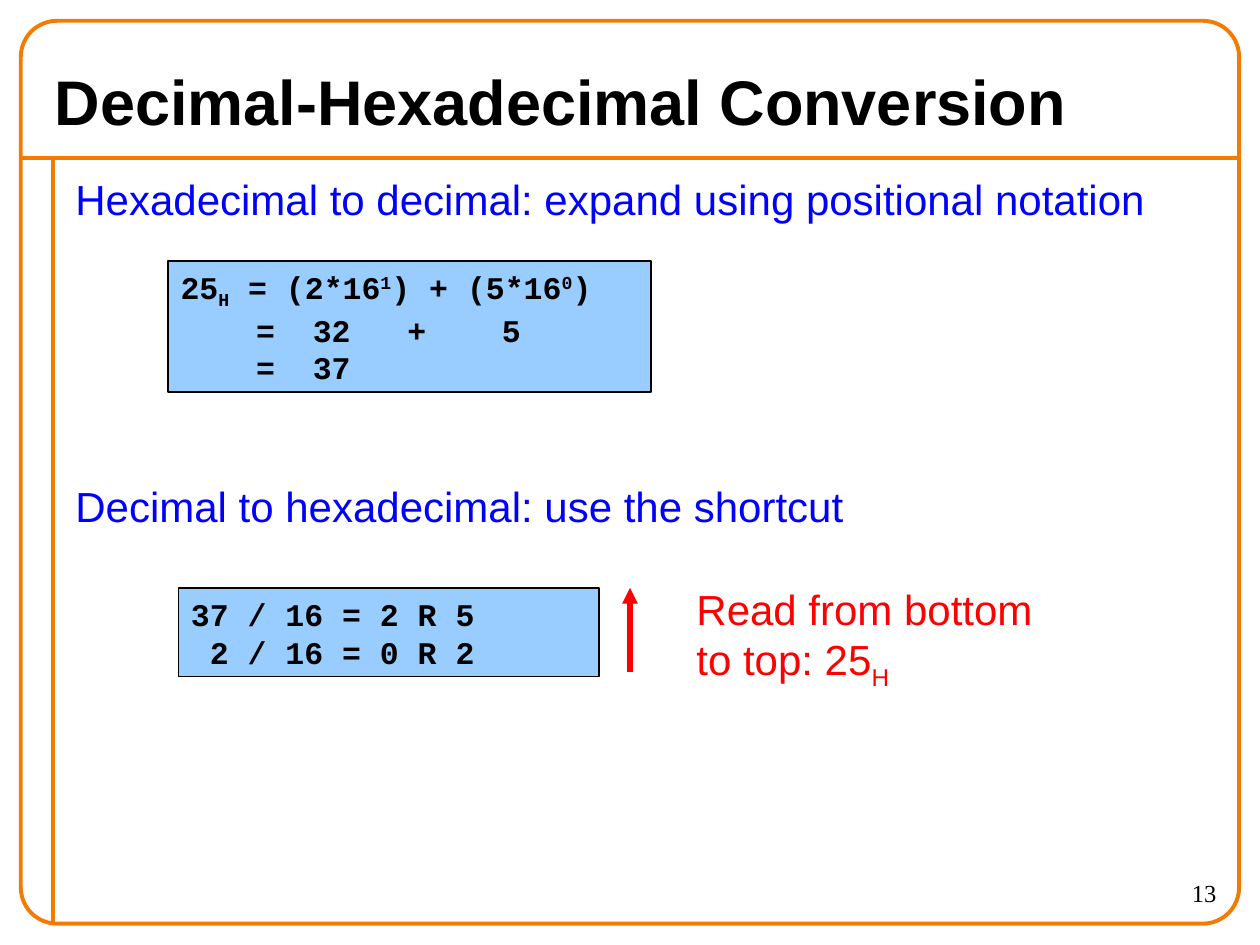
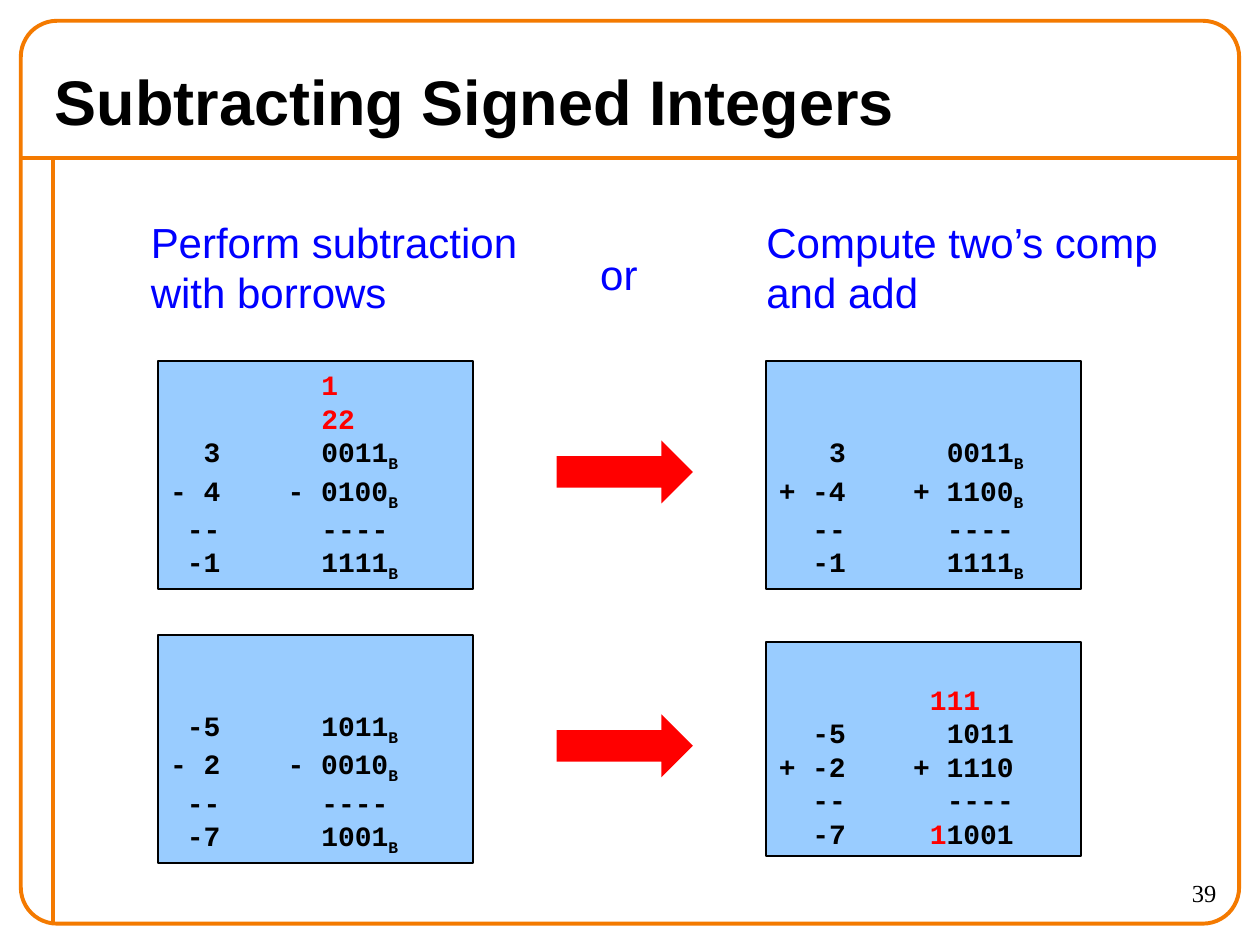
import pptx
import pptx.util
import pptx.dml.color
import pptx.enum.shapes
import pptx.enum.text
import pptx.oxml
import pptx.oxml.ns

Cm, Pt = pptx.util.Cm, pptx.util.Pt
SHAPE = pptx.enum.shapes.MSO_SHAPE
LINE = pptx.enum.shapes.MSO_CONNECTOR.STRAIGHT
ANCHOR = pptx.enum.text.MSO_ANCHOR
ALIGN = pptx.enum.text.PP_ALIGN

BLACK, BLUE, RED, SKY, ORANGE = "000000", "0000FF", "FF0000", "99CCFF", "F47A00"
SANS, MONO, SERIF = "Arial", "Courier New", "Times New Roman"
MONO_WIDTH = 0.6  # character width as a share of the font size

# Marks in text: {_x} subscript, {^x} superscript, {!x} red
BASE = {"_": "-25000", "^": "30000"}

HEX = {
    "title": "Decimal-Hexadecimal Conversion",
    "number": "13",
    "heads": [
        (1.27, 3.38, 23.5, ["Hexadecimal to decimal: expand using positional notation"]),
        (1.27, 9.57, 23.5, ["Decimal to hexadecimal: use the shortcut"]),
    ],
    "sums": [
        (3.39, 5.26, 9.74, 2.65, [
            "25{_H} = (2*16{^1}) + (5*16{^0})",
            "    =  32   +    5",
            "    =  37"]),
        (3.6, 11.85, 8.47, 1.79, [
            "37 / 16 = 2 R 5",
            " 2 / 16 = 0 R 2"]),
    ],
}
READ = ["Read from bottom", "to top: 25{_H}"]

SIGNED = {
    "title": "Subtracting Signed Integers",
    "number": "39",
    "heads": [
        (2.79, 4.24, 7.9, ["Perform subtraction", "with borrows"]),
        (11.85, 4.88, 1.6, ["or"]),
        (15.2, 4.24, 8.41, ["Compute two’s comp", "and add"]),
    ],
}
LEFT, RIGHT, WIDTH = 3.18, 15.45, 6.35
ROWS = [
    (7.28, [
        (LEFT, 4.6, [
            "         {!1}",
            "         {!22}",
            "  3      0011{_B}",
            "- 4    - 0100{_B}",
            " --      ----",
            " -1      1111{_B}"]),
        (RIGHT, 4.6, [
            "   3      0011{_B}",
            "+ -4    + 1100{_B}",
            "  --      ----",
            "  -1      1111{_B}"]),
    ]),
    (12.8, [
        (LEFT, 4.6, [
            " -5      1011{_B}",
            "- 2    - 0010{_B}",
            " --      ----",
            " -7      1001{_B}"]),
        (RIGHT, 4.32, [
            "         {!111}",
            "  -5      1011",
            "+ -2    + 1110",
            "  --      ----",
            "  -7     {!1}1001"]),
    ]),
]
ROW_HEIGHT = 4.6


def color(code):
    return pptx.dml.color.RGBColor.from_string(code)


def tabbed(line):
    """Turn indents and wide gaps into tabs; return the text and tab columns."""
    text, stops, col, gap = "", [], 0, 0
    for i, word in enumerate(line.split(" ")):
        gap += i > 0
        if not word:
            continue
        col += gap
        if gap > 1 or (gap and not text):
            stops.append(col)
            text += "\t"
        else:
            text += " " * gap
        text += word
        col += len(word) - 3 * word.count("{")
        gap = 0
    return text, stops


def set_tabs(para, stops, size):
    tabs = pptx.oxml.parse_xml(
        "<a:tabLst %s/>" % pptx.oxml.ns.nsdecls("a"))
    for col in stops:
        tab = tabs.makeelement(pptx.oxml.ns.qn("a:tab"), {
            "pos": str(int(Pt(col * size * MONO_WIDTH))), "algn": "l"})
        tabs.append(tab)
    para._p.get_or_add_pPr().append(tabs)


def add_run(para, text, mark, size, font, ink, bold):
    run = para.add_run()
    run.text = text
    run.font.size, run.font.name, run.font.bold = Pt(size), font, bold
    run.font.color.rgb = color(RED if mark == "!" else ink)
    if mark in BASE:
        run.font._element.set("baseline", BASE[mark])


def write(shape, lines, size, font, ink, bold=False, align=ALIGN.LEFT,
          anchor=ANCHOR.TOP):
    frame = shape.text_frame
    frame.word_wrap = True
    frame.vertical_anchor = anchor
    for i, line in enumerate(lines):
        para = frame.add_paragraph() if i else frame.paragraphs[0]
        para.alignment = align
        text, stops = tabbed(line)
        if stops:
            set_tabs(para, stops, size)
        for n, part in enumerate(text.split("{")):
            if n:
                marked, part = part.split("}")
                add_run(para, marked[1:], marked[0], size, font, ink, bold)
            if part:
                add_run(para, part, "", size, font, ink, bold)


def add_text(slide, place, lines, size, font, ink, **style):
    box = slide.shapes.add_textbox(*map(Cm, place))
    write(box, lines, size, font, ink, **style)


def add_shape(slide, kind, place, fill=None, edge=None, width=1):
    shape = slide.shapes.add_shape(kind, *map(Cm, place))
    shape.shadow.inherit = False
    if fill:
        shape.fill.solid()
        shape.fill.fore_color.rgb = color(fill)
    else:
        shape.fill.background()
    if edge:
        shape.line.color.rgb = color(edge)
        shape.line.width = Pt(width)
    else:
        shape.line.fill.background()
    return shape


def add_line(slide, ends, ink, width, head=False):
    line = slide.shapes.add_connector(LINE, *map(Cm, ends))
    line.line.color.rgb = color(ink)
    line.line.width = Pt(width)
    if head:
        line.line._get_or_add_ln().append(pptx.oxml.parse_xml(
            '<a:tailEnd %s type="triangle"/>' % pptx.oxml.ns.nsdecls("a")))
    line._element.spPr.append(pptx.oxml.parse_xml(
        "<a:effectLst %s/>" % pptx.oxml.ns.nsdecls("a")))


def add_sum(slide, place, lines, size):
    box = add_shape(slide, SHAPE.RECTANGLE, place, SKY, BLACK)
    write(box, lines, size, MONO, BLACK, bold=True, anchor=ANCHOR.BOTTOM)


def add_slide(deck, data):
    """Add a slide with the shared frame, title, page number and blue heads."""
    slide = deck.slides.add_slide(deck.slide_layouts[5])
    add_line(slide, (0.42, 3.18, 24.98, 3.18), ORANGE, 2.25)
    add_line(slide, (1.06, 3.18, 1.06, 18.63), ORANGE, 2.25)
    frame = add_shape(slide, SHAPE.ROUNDED_RECTANGLE,
                      (0.42, 0.42, 24.56, 18.2), None, ORANGE, 2.25)
    frame.adjustments[0] = 0.04
    title = slide.shapes.title
    title.left, title.top, title.width, title.height = map(
        Cm, (0.85, 1.06, 23.71, 1.91))
    write(title, [data["title"]], 36, SANS, BLACK, bold=True,
          anchor=ANCHOR.MIDDLE)
    add_text(slide, (22.23, 17.57, 2.54, 1.06), [data["number"]], 14, SERIF,
             BLACK, align=ALIGN.RIGHT)
    for left, top, width, lines in data["heads"]:
        add_text(slide, (left, top, width, 1.2 * len(lines)), lines, 24, SANS,
                 BLUE)
    return slide


def add_hex(deck):
    slide = add_slide(deck, HEX)
    for *place, lines in HEX["sums"]:
        add_sum(slide, place, lines, 18)
    add_line(slide, (12.7, 13.55, 12.7, 11.85), RED, 3, head=True)
    add_text(slide, (13.79, 11.64, 7.3, 2.45), READ, 24, SANS, RED)


def add_signed(deck):
    slide = add_slide(deck, SIGNED)
    for top, sums in ROWS:
        for left, height, lines in sums:
            drop = (ROW_HEIGHT - height) / 2
            add_sum(slide, (left, top + drop, WIDTH, height), lines, 16)
        add_shape(slide, SHAPE.RIGHT_ARROW, (11.22, top + 1.6, 2.75, 1.27), RED)


def main():
    deck = pptx.Presentation()
    deck.slide_width, deck.slide_height = Cm(25.4), Cm(19.05)
    add_hex(deck)
    add_signed(deck)
    deck.save("out.pptx")


if __name__ == "__main__":
    main()
